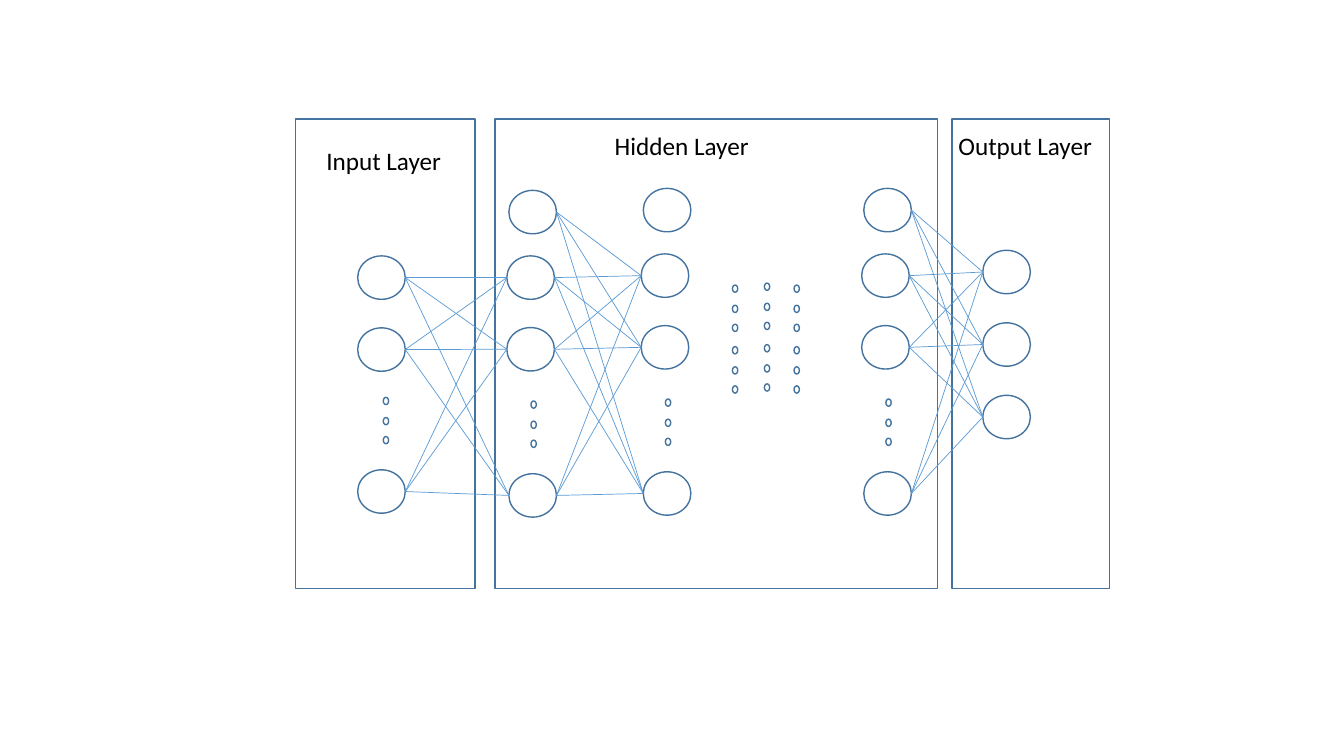
from itertools import product

from lxml.etree import SubElement
from pptx import Presentation
from pptx.dml.color import RGBColor
from pptx.enum.shapes import MSO_CONNECTOR as Connector, MSO_SHAPE as Shape
from pptx.enum.text import MSO_AUTO_SIZE as AutoSize
from pptx.oxml.ns import qn
from pptx.util import Pt

OUTLINE = "43739E"
LINK = "5B9BD5"
TEXT = "000000"
NODE_WIDTH, NODE_HEIGHT = 34, 31
DOT_WIDTH, DOT_HEIGHT = 3.8, 5.2
DOT_STEPS = (0, 14.4, 28)
PANEL_TOP, PANEL_HEIGHT = 85, 335.5
HIDDEN_NODES = ((1.5, 0), (0, 46.8), (0, 98), (1.5, 202.4))
HIDDEN_COLUMNS = ((362, 136), (458, 134.6), (615.5, 134.6))
INPUT_NODES = ((255.5, 182.8), (255.5, 234.2), (255.5, 335.6))
PANELS = ((211, 128.2), (353.5, 316), (680, 112.5))
TITLES = (
    ("Input Layer", 226, 100.4, 97),
    ("Hidden Layer", 432, 89.5, 111.5),
    ("Output Layer", 677.5, 89.5, 111),
)


def color(code):
    """Turn a hex string into a colour."""
    return RGBColor.from_string(code)


def add_outline(page, kind, left, top, width, height):
    """Draw an unfilled preset shape."""
    shape = page.shapes.add_shape(kind, Pt(left), Pt(top), Pt(width), Pt(height))
    shape.shadow.inherit = False
    shape.fill.background()
    shape.line.color.rgb = color(OUTLINE)
    shape.line.width = Pt(1)


def add_nodes(page, places):
    """Draw one large circle at each place."""
    for left, top in places:
        add_outline(page, Shape.OVAL, left, top, NODE_WIDTH, NODE_HEIGHT)


def add_dots(page, left, top):
    """Draw three small dots that stand for omitted nodes."""
    for step in DOT_STEPS:
        add_outline(page, Shape.OVAL, left, top + step, DOT_WIDTH, DOT_HEIGHT)


def add_title(page, text, left, top, width):
    """Write the name of a layer."""
    box = page.shapes.add_textbox(Pt(left), Pt(top), Pt(width), Pt(29))
    frame = box.text_frame
    frame.word_wrap = False
    frame.auto_size = AutoSize.SHAPE_TO_FIT_TEXT
    frame.text = text
    font = frame.paragraphs[0].runs[0].font
    font.name = "Calibri"
    font.size = Pt(18)
    font.color.rgb = color(TEXT)


def add_links(page, sources, targets):
    """Join the right side of each source to the left side of each target."""
    middle = NODE_HEIGHT / 2
    for (left, top), (end_left, end_top) in product(sources, targets):
        link = page.shapes.add_connector(
            Connector.STRAIGHT,
            Pt(left + NODE_WIDTH), Pt(top + middle),
            Pt(end_left), Pt(end_top + middle),
        )
        link.line.color.rgb = color(LINK)
        link.line.width = Pt(0.5)
        SubElement(link._element.spPr, qn("a:effectLst"))


def main():
    """Build the neural network slide."""
    deck = Presentation()
    deck.slide_width, deck.slide_height = Pt(960), Pt(540)
    page = deck.slides.add_slide(deck.slide_layouts[6])

    for left, width in PANELS:
        add_outline(page, Shape.RECTANGLE, left, PANEL_TOP, width, PANEL_HEIGHT)
    for title in TITLES:
        add_title(page, *title)

    hidden = [
        [(left + right, top + down) for right, down in HIDDEN_NODES]
        for left, top in HIDDEN_COLUMNS
    ]
    output = [(702, 178.8 + 51.8 * row) for row in range(3)]
    for places in (INPUT_NODES, *hidden, output):
        add_nodes(page, places)

    add_dots(page, 273.8, 283.8)
    for left, top in HIDDEN_COLUMNS:
        add_dots(page, left + 17.3, top + 150.4)
    for left, top in ((523.2, 203.6), (546, 202.2), (567.2, 203.6)):
        add_dots(page, left, top)
        add_dots(page, left, top + 44)

    first, second, last = hidden
    add_links(page, INPUT_NODES, first[1:])
    add_links(page, first, second[1:])
    add_links(page, last, output)
    deck.save("out.pptx")


main()
